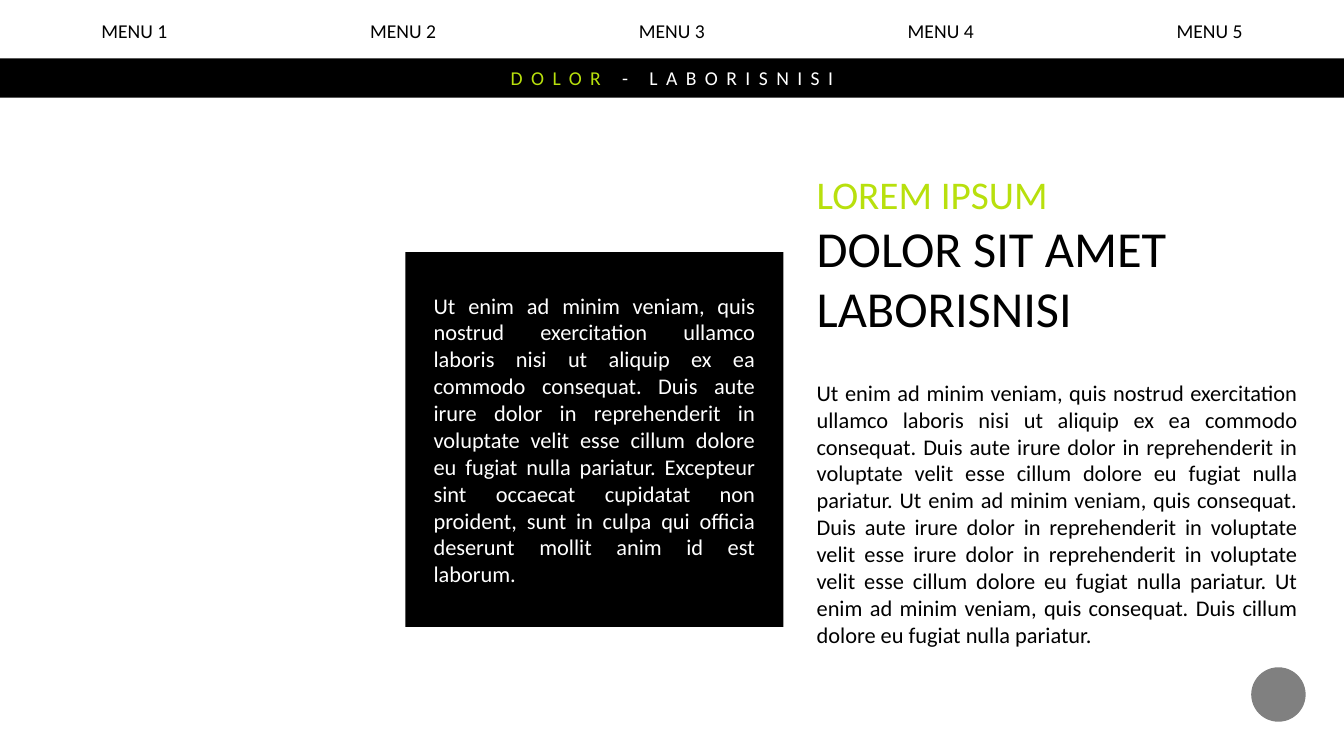
from pptx import Presentation
from pptx.dml.color import RGBColor
from pptx.enum.shapes import MSO_SHAPE
from pptx.enum.text import MSO_ANCHOR, PP_ALIGN
from pptx.util import Emu, Pt

RECT, OVAL = MSO_SHAPE.RECTANGLE, MSO_SHAPE.OVAL
TOP, MIDDLE = MSO_ANCHOR.TOP, MSO_ANCHOR.MIDDLE
LEFT, CENTER, JUSTIFY = PP_ALIGN.LEFT, PP_ALIGN.CENTER, PP_ALIGN.JUSTIFY

BLACK = RGBColor(0x00, 0x00, 0x00)
WHITE = RGBColor(0xFF, 0xFF, 0xFF)
LIME = RGBColor(0xB8, 0xE0, 0x0D)
GRAY = RGBColor(0x80, 0x80, 0x80)

# Content: a paragraph is a list of (text, size, colour) runs
MENU = ["MENU 1", "MENU 2", "MENU 3", "MENU 4", "MENU 5"]
BAND = [[("DOLOR", 14, LIME), (" - LABORISNISI", 14, WHITE)]]
TITLE = [
    [("LOREM IPSUM", 28, LIME)],
    [("DOLOR SIT AMET", 36, BLACK)],
    [("LABORISNISI", 36, BLACK)],
]
BODY = (
    "Ut enim ad minim veniam, quis nostrud exercitation ullamco laboris nisi ut "
    "aliquip ex ea commodo consequat. Duis aute irure dolor in reprehenderit in "
    "voluptate velit esse cillum dolore eu fugiat nulla pariatur. Ut enim ad minim "
    "veniam, quis consequat. Duis aute irure dolor in reprehenderit in voluptate "
    "velit esse irure dolor in reprehenderit in voluptate velit esse cillum dolore "
    "eu fugiat nulla pariatur. Ut enim ad minim veniam, quis consequat. Duis cillum "
    "dolore eu fugiat nulla pariatur."
)
QUOTE = (
    "Ut enim ad minim veniam, quis nostrud exercitation ullamco laboris nisi ut "
    "aliquip ex ea commodo consequat. Duis aute irure dolor in reprehenderit in "
    "voluptate velit esse cillum dolore eu fugiat nulla pariatur. Excepteur sint "
    "occaecat cupidatat non proident, sunt in culpa qui officia deserunt mollit "
    "anim id est laborum."
)

# Layout in px, 100 px to the inch
SCALE = 9144
WIDE, HIGH = 1333, 750
COL = 790  # left edge of the text column


def px(num):
    return Emu(round(num * SCALE))


def put_shape(slide, kind, box, fill):
    shape = slide.shapes.add_shape(kind, *map(px, box))
    shape.shadow.inherit = False
    shape.fill.solid()
    shape.fill.fore_color.rgb = fill
    shape.line.fill.background()
    return shape


def put_text(shape, paras, align=LEFT, anchor=MIDDLE, pad=(10, 5), space=0):
    frame = shape.text_frame
    frame.word_wrap = True
    frame.vertical_anchor = anchor
    frame.margin_left = frame.margin_right = px(pad[0])
    frame.margin_top = frame.margin_bottom = px(pad[1])
    for i, runs in enumerate(paras):
        para = frame.add_paragraph() if i else frame.paragraphs[0]
        para.alignment = align
        for text, size, color in runs:
            run = para.add_run()
            run.text = text
            run.font.name = "Calibri"
            run.font.size = Pt(size)
            run.font.color.rgb = color
            if space:
                run.font._element.set("spc", str(space * 100))


def main():
    deck = Presentation()
    deck.slide_width, deck.slide_height = px(WIDE), px(HIGH)
    slide = deck.slides.add_slide(deck.slide_layouts[6])

    # Title and body column
    title = put_shape(slide, RECT, (COL, 148, 504, 208), WHITE)
    put_text(title, TITLE, pad=(20, 20))
    body = slide.shapes.add_textbox(*map(px, (COL, 356, 517, 237)))
    put_text(body, [[(BODY, 16, BLACK)]], align=JUSTIFY, anchor=TOP, pad=(20, 20))

    # Black quote panel
    quote = put_shape(slide, RECT, (402, 250, 375, 372), BLACK)
    put_text(quote, [[(QUOTE, 16, WHITE)]], align=JUSTIFY, pad=(28, 28))

    # Heading band
    band = put_shape(slide, RECT, (0, 58, WIDE, 39), BLACK)
    put_text(band, BAND, align=CENTER, pad=(8, 8), space=6)

    # Menu row in equal cells
    cell = WIDE / len(MENU)
    for i, name in enumerate(MENU):
        tab = put_shape(slide, RECT, (i * cell, 7, cell, 47), WHITE)
        put_text(tab, [[(name, 14, BLACK)]], align=CENTER)

    # Corner badge
    put_shape(slide, OVAL, (1241, 662, 54, 54), GRAY)

    deck.save("out.pptx")


if __name__ == "__main__":
    main()
